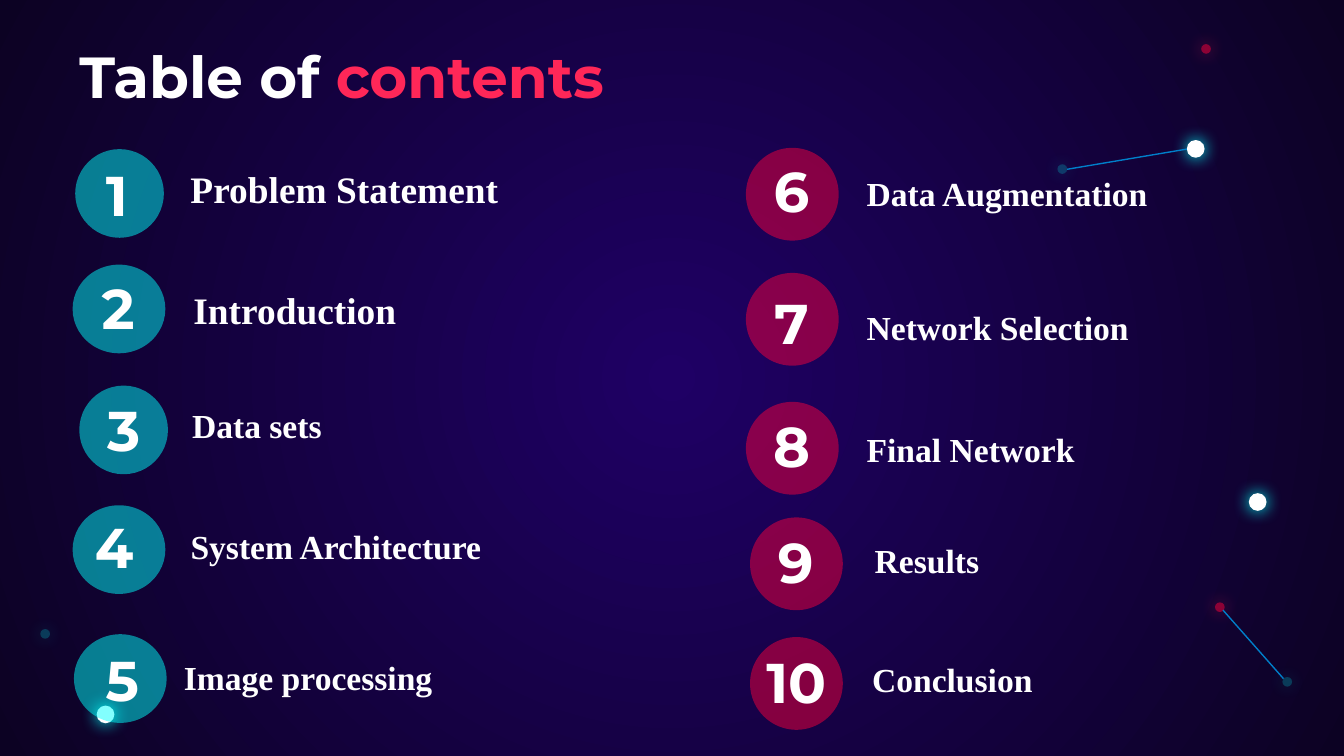
from typing import NamedTuple

from lxml import etree
from pptx import Presentation
from pptx.dml.color import RGBColor
from pptx.enum import shapes, text
from pptx.oxml.ns import qn
from pptx.util import Pt

COLORS = {
    "center": "1F0065", "edge": "0C0223", "white": "FFFFFF", "cyan": "00FFFD",
    "red": "FF003A", "pink": "FF2758", "blue": "007FCA",
}
HEADING_FONT = "Montserrat"
LABEL_FONT = "Times New Roman"
INSET = 7.2
NUMBER_H = 46.8
BIG, SMALL = 9.5, 5.2


class Box(NamedTuple):
    x: float
    y: float
    w: float
    h: float


class Dot(NamedTuple):
    x: float
    y: float
    size: float
    color: str
    alpha: int
    glow: str


class Entry(NamedTuple):
    label: str
    disc: Box
    number_x: float
    number_y: float
    label_box: Box
    size: int = 18
    number_w: float = 40.3


class Link(NamedTuple):
    x1: float
    y1: float
    x2: float
    y2: float


DOTS = [
    Dot(51.8, 378, BIG, "white", 100, "cyan"),
    Dot(21.6, 337, SMALL, "cyan", 20, "cyan"),
    Dot(669, 264.2, BIG, "white", 100, "cyan"),
    Dot(650.9, 322.7, SMALL, "red", 48, "pink"),
    Dot(687, 362.7, SMALL, "cyan", 20, "cyan"),
    Dot(643.5, 23.6, SMALL, "red", 48, "pink"),
    Dot(635.8, 75, BIG, "white", 100, "cyan"),
    Dot(566.5, 88, SMALL, "cyan", 20, "cyan"),
]
LINKS = [Link(687.6, 363.6, 655.2, 326.9), Link(635.8, 79.9, 571.7, 90.7)]

LEFT = [
    Entry("Problem Statement", Box(40.3, 79.9, 47.5, 47.5), 42.5, 80.6,
          Box(95, 85, 196.6, 31.7), 20),
    Entry("Introduction", Box(38.9, 141.8, 49.7, 47.5), 43.2, 141.1,
          Box(96.5, 140.4, 238.3, 50.4), 20),
    Entry("Data sets", Box(42.5, 206.6, 47.5, 47.5), 46.1, 206.6,
          Box(95.8, 202.3, 215.3, 50.4)),
    Entry("System Architecture", Box(38.9, 270.7, 49.7, 47.5), 41, 268.9,
          Box(95, 267.1, 215.3, 50.4)),
    Entry("Image processing", Box(39.6, 339.8, 49.7, 47.5), 45.4, 340.6,
          Box(91.4, 337.7, 215.3, 50.4)),
]
RIGHT = [
    Entry("Data Augmentation", Box(399.6, 79.2, 49.7, 49.7), 403.9, 78.5,
          Box(457.2, 89.3, 178.6, 28.8)),
    Entry("Network Selection", Box(399.6, 146.2, 49.7, 49.7), 403.9, 149,
          Box(457.2, 160.6, 178.6, 28.8)),
    Entry("Final Network", Box(399.6, 215.3, 49.7, 49.7), 403.9, 215.3,
          Box(457.2, 226.1, 178.6, 28.8)),
    Entry("Results", Box(401.8, 277.2, 49.7, 49.7), 406.1, 277.2,
          Box(461.5, 275, 215.3, 50.4)),
    Entry("Conclusion", Box(401.8, 341.3, 49.7, 49.7), 398.9, 341.3,
          Box(460.1, 338.4, 215.3, 50.4), number_w=55.4),
]


def rgb(name: str) -> RGBColor:
    return RGBColor.from_string(COLORS[name])


def points(box: Box) -> list:
    return [Pt(v) for v in box]


def paint_background(slide) -> None:
    """Radial gradient from the slide centre."""
    fill = slide.background.fill
    fill.gradient()
    for stop, name in zip(fill.gradient_stops, ("center", "edge")):
        stop.color.rgb = rgb(name)
    grad = slide.element.find(".//" + qn("a:gradFill"))
    lin = grad.find(qn("a:lin"))
    radial = etree.Element(qn("a:path"), path="circle")
    etree.SubElement(radial, qn("a:fillToRect"), l="50000", t="50000", r="50000", b="50000")
    grad.replace(lin, radial)


def add_circle(slide, box: Box, color: str, alpha: int):
    sp = slide.shapes.add_shape(shapes.MSO_SHAPE.OVAL, *points(box))
    sp.shadow.inherit = False
    sp.fill.solid()
    sp.fill.fore_color.rgb = rgb(color)
    sp.line.fill.background()
    if alpha < 100:
        clr = sp.element.spPr.find(qn("a:solidFill"))[0]
        etree.SubElement(clr, qn("a:alpha"), val=str(alpha * 1000))
    return sp


def add_dot(slide, dot: Dot) -> None:
    sp = add_circle(slide, Box(dot.x, dot.y, dot.size, dot.size), dot.color, dot.alpha)
    effects = sp.element.spPr.find(qn("a:effectLst"))
    glow = etree.SubElement(effects, qn("a:outerShdw"), blurRad=str(Pt(9)),
                            dist="0", algn="ctr", rotWithShape="0")
    etree.SubElement(glow, qn("a:srgbClr"), val=COLORS[dot.glow])


def add_link(slide, link: Link) -> None:
    line = slide.shapes.add_connector(shapes.MSO_CONNECTOR.STRAIGHT, *[Pt(v) for v in link])
    line.line.color.rgb = rgb("blue")
    line.line.width = Pt(0.75)
    etree.SubElement(line.element.spPr, qn("a:effectLst"))


def set_frame(tf, align) -> None:
    tf.word_wrap = True
    tf.auto_size = text.MSO_AUTO_SIZE.NONE
    tf.vertical_anchor = text.MSO_ANCHOR.MIDDLE
    tf.margin_left = tf.margin_right = tf.margin_top = tf.margin_bottom = Pt(INSET)
    tf.paragraphs[0].alignment = align


def format_run(r, font: str, size: float, color: str = "white") -> None:
    r.font.name, r.font.size, r.font.bold = font, Pt(size), True
    r.font.color.rgb = rgb(color)


def add_text(slide, box: Box, content: str, font: str, size: float, align) -> None:
    tf = slide.shapes.add_textbox(*points(box)).text_frame
    tf.text = content
    set_frame(tf, align)
    format_run(tf.paragraphs[0].runs[0], font, size)


def add_entry(slide, number: int, entry: Entry, color: str, alpha: int) -> None:
    add_circle(slide, entry.disc, color, alpha)
    add_text(slide, Box(entry.number_x, entry.number_y, entry.number_w, NUMBER_H),
             str(number), HEADING_FONT, 30, text.PP_ALIGN.CENTER)
    add_text(slide, entry.label_box, entry.label, LABEL_FONT, entry.size, text.PP_ALIGN.LEFT)


def set_title(slide) -> None:
    title = slide.shapes.title
    title.left, title.top, title.width, title.height = points(Box(35.3, 18, 607, 44.6))
    tf = title.text_frame
    set_frame(tf, text.PP_ALIGN.LEFT)
    for content, color in (("Table of ", "white"), ("contents", "pink")):
        r = tf.paragraphs[0].add_run()
        r.text = content
        format_run(r, HEADING_FONT, 31, color)


def main() -> None:
    prs = Presentation()
    prs.slide_width, prs.slide_height = Pt(720), Pt(405)
    slide = prs.slides.add_slide(prs.slide_layouts[5])
    paint_background(slide)
    set_title(slide)
    for dot in DOTS:
        add_dot(slide, dot)
    for link in LINKS:
        add_link(slide, link)
    for number, entry in enumerate(LEFT, 1):
        add_entry(slide, number, entry, "cyan", 49)
    for number, entry in enumerate(RIGHT, len(LEFT) + 1):
        add_entry(slide, number, entry, "red", 48)
    prs.save("out.pptx")


if __name__ == "__main__":
    main()
